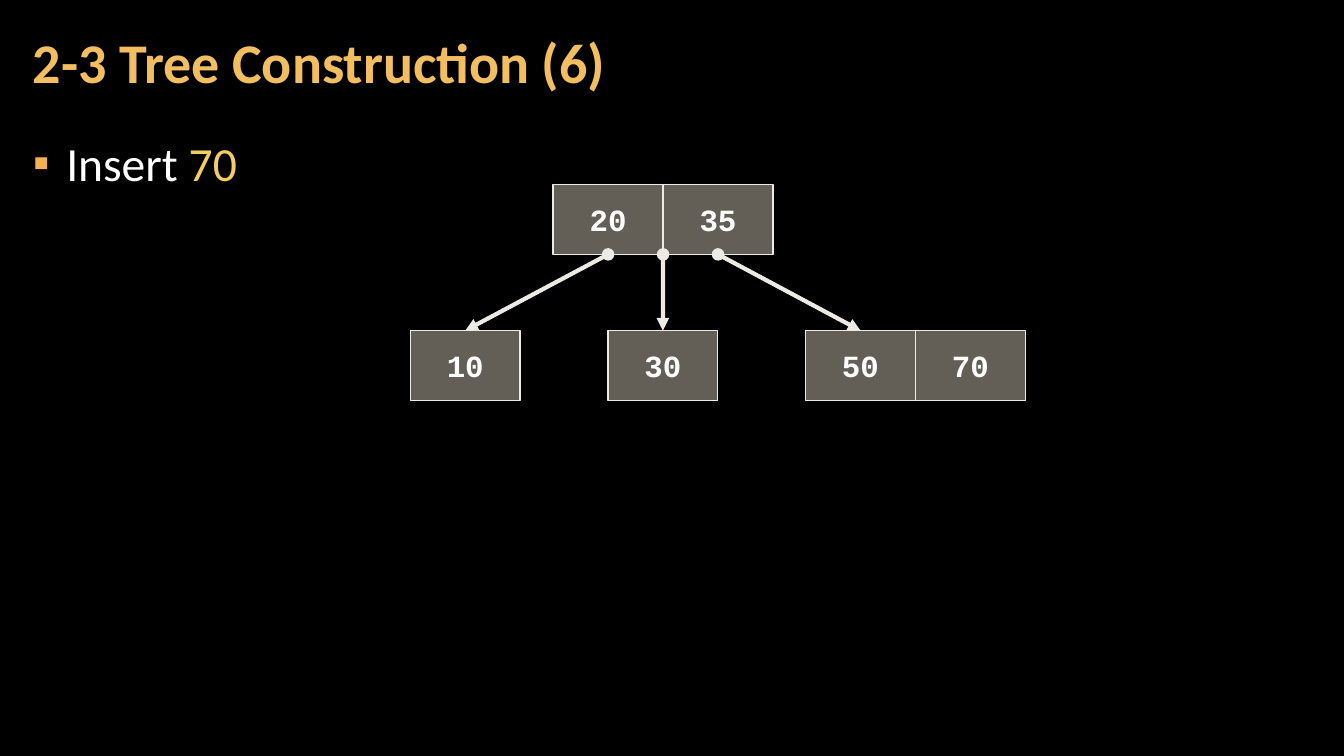
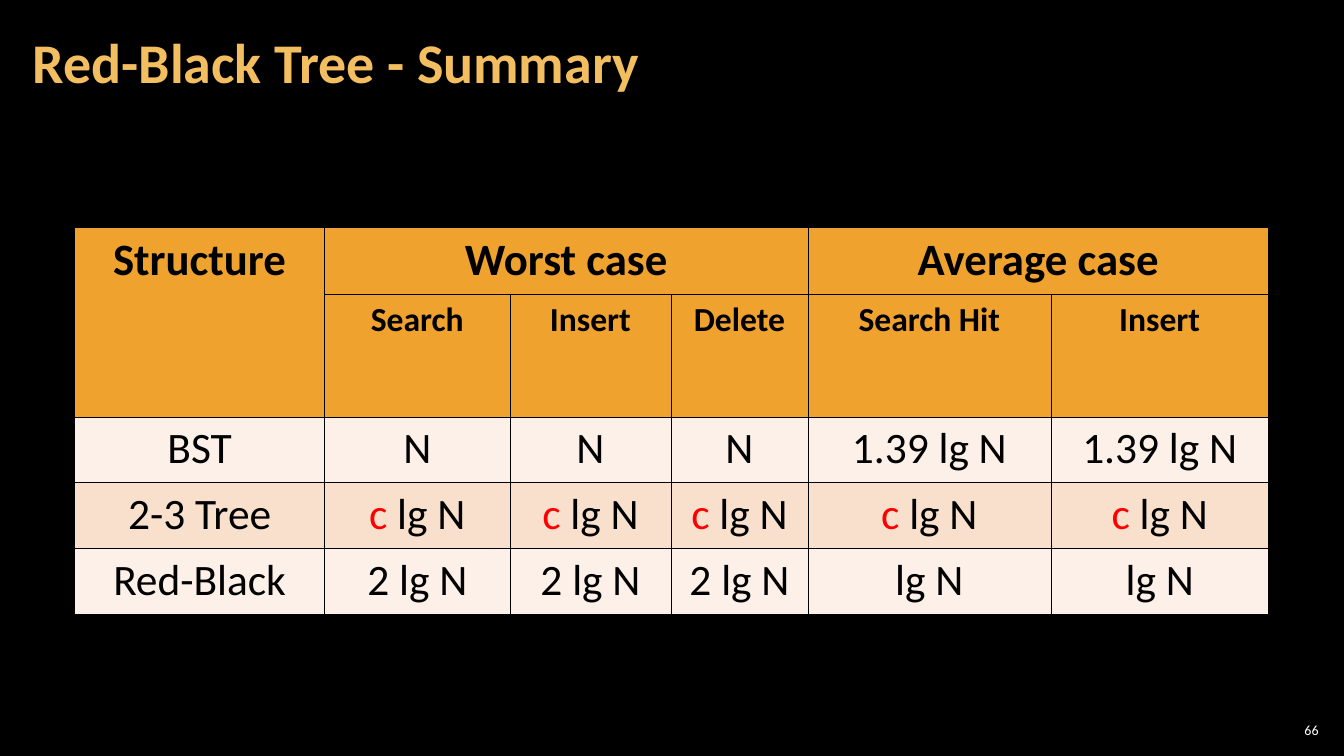
from dataclasses import dataclass

import pptx
import pptx.util
from lxml import etree
from pptx.dml.color import RGBColor
from pptx.enum.shapes import MSO_CONNECTOR, MSO_SHAPE
from pptx.enum.text import MSO_ANCHOR, MSO_AUTO_SIZE, PP_ALIGN
from pptx.oxml.ns import qn
from pptx.util import Cm, Pt

LEFT, CENTER, RIGHT = PP_ALIGN.LEFT, PP_ALIGN.CENTER, PP_ALIGN.RIGHT
TITLE_AND_CONTENT, TITLE_ONLY = 1, 5


def rgb(value):
    return RGBColor.from_string(value)


@dataclass(frozen=True)
class Theme:
    background: RGBColor = rgb("000000")
    title: RGBColor = rgb("F3BE60")
    text: RGBColor = rgb("FFFFFF")
    key: RGBColor = rgb("F3CD60")
    bullet: str = "F2B254"
    node: RGBColor = rgb("C7BFAC")
    line: RGBColor = rgb("ECEAE3")
    header: RGBColor = rgb("F0A22E")
    bands: tuple = (rgb("FCF0E8"), rgb("F9E0CD"))
    ink: RGBColor = rgb("000000")
    accent: RGBColor = rgb("FF0000")
    font: str = "Calibri"
    node_font: str = "Courier New"
    title_size: int = 40
    list_size: int = 34
    node_size: int = 22
    header_size: int = 32
    subheader_size: int = 24
    cell_size: int = 31
    number_size: int = 10


class Deck:
    """Holds the presentation, its theme and the current slide."""

    def __init__(self, theme):
        self.theme = theme
        self.prs = pptx.Presentation()
        self.prs.slide_width, self.prs.slide_height = Cm(33.87), Cm(19.05)
        fill = self.prs.slide_master.background.fill
        fill.solid()
        fill.fore_color.rgb = theme.background
        self.s = None

    def add_text(self, tf, parts, size, align=LEFT, bold=False, font=None):
        """Fill the first paragraph with (text, colour) parts."""
        p = tf.paragraphs[0]
        p.alignment = align
        for text, color in parts:
            r = p.add_run()
            r.text = text
            r.font.name = font or self.theme.font
            r.font.size = Pt(size)
            r.font.bold = bold
            r.font.color.rgb = color
        return p

    def place(self, sp, left, top, width, height, anchor, margins=(0.3, 0.1)):
        """Position a text shape and set up its text frame."""
        sp.left, sp.top, sp.width, sp.height = map(Cm, (left, top, width, height))
        tf = sp.text_frame
        tf.word_wrap = True
        tf.auto_size = MSO_AUTO_SIZE.NONE
        tf.vertical_anchor = anchor
        tf.margin_left = tf.margin_right = Cm(margins[0])
        tf.margin_top = tf.margin_bottom = Cm(margins[1])
        return tf

    def slide(self, layout, title):
        self.s = self.prs.slides.add_slide(self.prs.slide_layouts[layout])
        tf = self.place(self.s.shapes.title, 0.53, 0.1, 26.6, 3.07, MSO_ANCHOR.MIDDLE)
        p = self.add_text(tf, [(title, self.theme.title)], self.theme.title_size, bold=True)
        p.line_spacing = 0.9

    def bullet(self, parts):
        tf = self.place(self.s.placeholders[1], 0.53, 3.2, 32.8, 15.47, MSO_ANCHOR.TOP)
        p = self.add_text(tf, parts, self.theme.list_size)
        p.line_spacing = 1.05
        p.space_before = p.space_after = Pt(6)
        pPr = p._p.get_or_add_pPr()
        pPr.set("marL", str(Cm(0.84)))
        pPr.set("indent", str(-Cm(0.84)))
        color = etree.SubElement(pPr, qn("a:buClr"))
        etree.SubElement(color, qn("a:srgbClr"), val=self.theme.bullet)
        etree.SubElement(pPr, qn("a:buChar"), char="▪")

    def node(self, keys, left, top, width=2.77, height=1.76):
        """Draw a tree node, one box per key, and return the boxes."""
        boxes = []
        for i, key in enumerate(keys):
            sp = self.s.shapes.add_shape(MSO_SHAPE.RECTANGLE, Cm(left + i * width),
                                         Cm(top), Cm(width), Cm(height))
            sp.shadow.inherit = False
            sp.fill.solid()
            sp.fill.fore_color.rgb = self.theme.node
            color = sp._element.spPr.find(qn("a:solidFill"))[0]
            etree.SubElement(color, qn("a:alpha"), val="50000")
            sp.line.color.rgb = self.theme.line
            sp.line.width = Pt(1)
            sp.text_frame.vertical_anchor = MSO_ANCHOR.MIDDLE
            self.add_text(sp.text_frame, [(str(key), self.theme.text)], self.theme.node_size,
                          CENTER, True, self.theme.node_font)
            boxes.append(sp)
        return boxes

    def link(self, parent, child, from_corner=False):
        """Join a parent key, or its lower right corner, to a child's top."""
        c = self.s.shapes.add_connector(MSO_CONNECTOR.STRAIGHT, parent.left + parent.width,
                                        parent.top + parent.height, child.left, child.top)
        if not from_corner:
            c.begin_connect(parent, 2)
        c.end_connect(child, 0)
        c.line.color.rgb = self.theme.line
        c.line.width = Pt(3)
        spPr = c._element.spPr
        ln = spPr.find(qn("a:ln"))
        etree.SubElement(ln, qn("a:headEnd"), type="oval")
        etree.SubElement(ln, qn("a:tailEnd"), type="triangle")
        etree.SubElement(spPr, qn("a:effectLst"))

    def cell(self, cell, parts, fill, size, bold):
        cell.margin_left = cell.margin_right = Cm(0.33)
        cell.margin_top = cell.margin_bottom = Cm(0.15)
        tcPr = cell._tc.get_or_add_tcPr()
        for side in ("lnL", "lnR", "lnT", "lnB"):
            ln = etree.SubElement(tcPr, qn(f"a:{side}"), w=str(Pt(0.25)))
            color = etree.SubElement(ln, qn("a:solidFill"))
            etree.SubElement(color, qn("a:srgbClr"), val=str(self.theme.ink))
        cell.fill.solid()
        cell.fill.fore_color.rgb = fill
        self.add_text(cell.text_frame, parts, size, CENTER, bold)

    def table(self, rows, widths, heights, left, top, merges):
        """Draw a table with two header rows and banded body rows."""
        t = self.theme
        tbl = self.s.shapes.add_table(len(rows), len(widths), Cm(left), Cm(top),
                                      Cm(sum(widths)), Cm(sum(heights))).table
        tbl.first_row = tbl.horz_banding = False
        for col, width in zip(tbl.columns, widths):
            col.width = Cm(width)
        for i, (row, height) in enumerate(zip(rows, heights)):
            tbl.rows[i].height = Cm(height)
            header = i < 2
            size = (t.header_size, t.subheader_size)[i] if header else t.cell_size
            fill = t.header if header else t.bands[i % 2]
            for j, value in enumerate(row):
                parts = value if isinstance(value, list) else [(value, t.ink)]
                self.cell(tbl.cell(i, j), parts if value else [], fill, size, header)
        for first, last in merges:
            tbl.cell(*first).merge(tbl.cell(*last))

    def number(self, text):
        sp = self.s.shapes.add_textbox(0, 0, 0, 0)
        tf = self.place(sp, 32.13, 18.14, 1.2, 0.53, MSO_ANCHOR.MIDDLE, (0.1, 0.1))
        self.add_text(tf, [(text, self.theme.text)], self.theme.number_size, RIGHT)


def main():
    theme = Theme()
    deck = Deck(theme)

    deck.slide(TITLE_AND_CONTENT, "2-3 Tree Construction (6)")
    deck.bullet([("Insert ", theme.text), ("70", theme.key)])
    low, high = deck.node([20, 35], 13.94, 4.65)
    left, middle, right = [deck.node(keys, 10.34 + i * 4.98, 8.33)[0]
                           for i, keys in enumerate([[10], [30], [50, 70]])]
    deck.link(low, left)
    deck.link(low, middle, from_corner=True)
    deck.link(high, right)

    deck.slide(TITLE_ONLY, "Red-Black Tree - Summary")
    c_lg_n = [("c", theme.accent), (" lg N", theme.ink)]
    rows = [
        ["Structure", "Worst case", "", "", "Average case", ""],
        ["", "Search", "Insert", "Delete", "Search Hit", "Insert"],
        ["BST"] + ["N"] * 3 + ["1.39 lg N"] * 2,
        ["2-3 Tree"] + [c_lg_n] * 5,
        ["Red-Black"] + ["2 lg N"] * 3 + ["lg N"] * 2,
    ]
    deck.table(rows, widths=[6.3, 4.67, 4.06, 3.45, 6.12, 5.49],
               heights=[1.68, 3.1] + [1.66] * 3, left=1.88, top=5.72,
               merges=[((0, 0), (1, 0)), ((0, 1), (0, 3)), ((0, 4), (0, 5))])
    deck.number("66")

    deck.prs.save("out.pptx")


if __name__ == "__main__":
    main()
